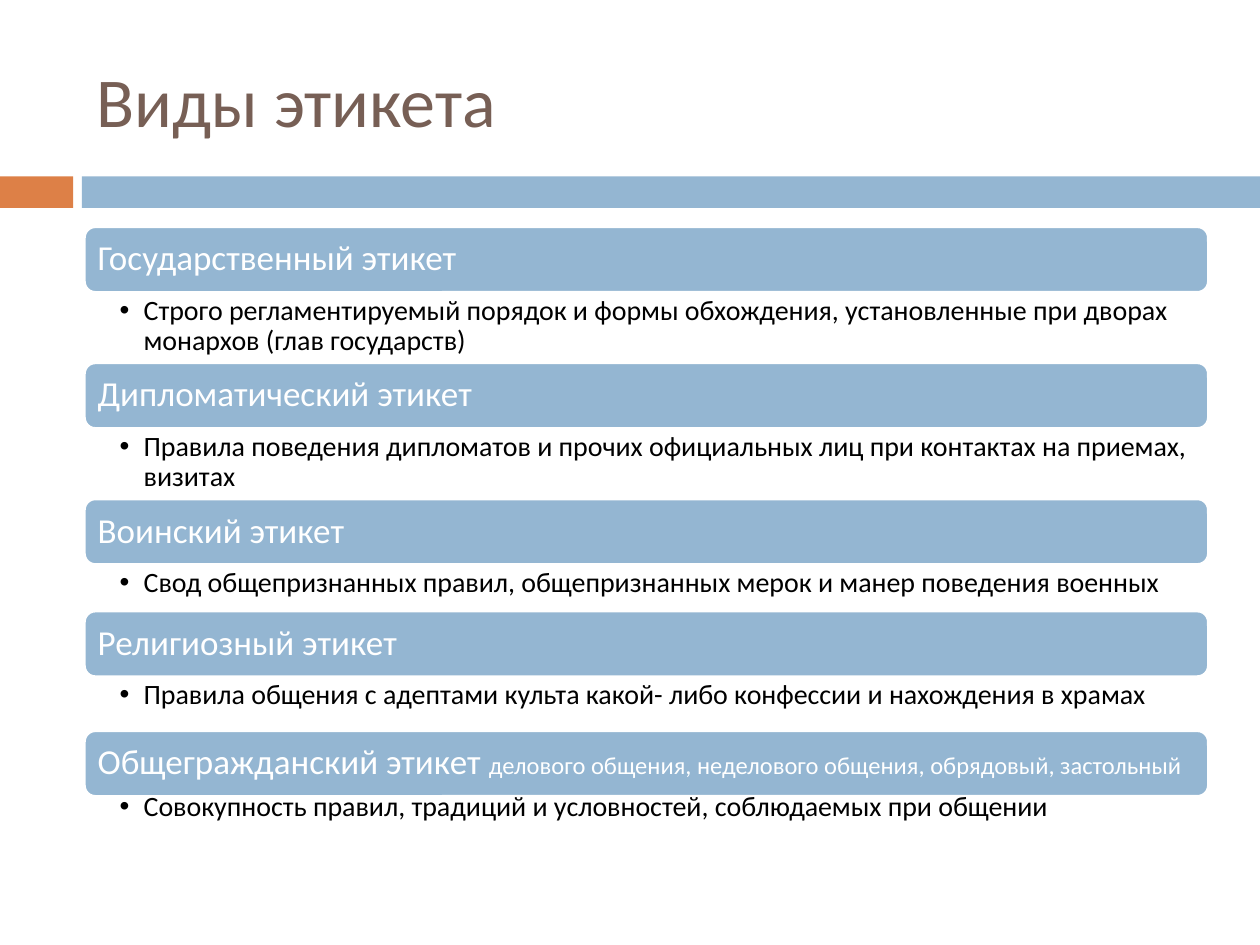
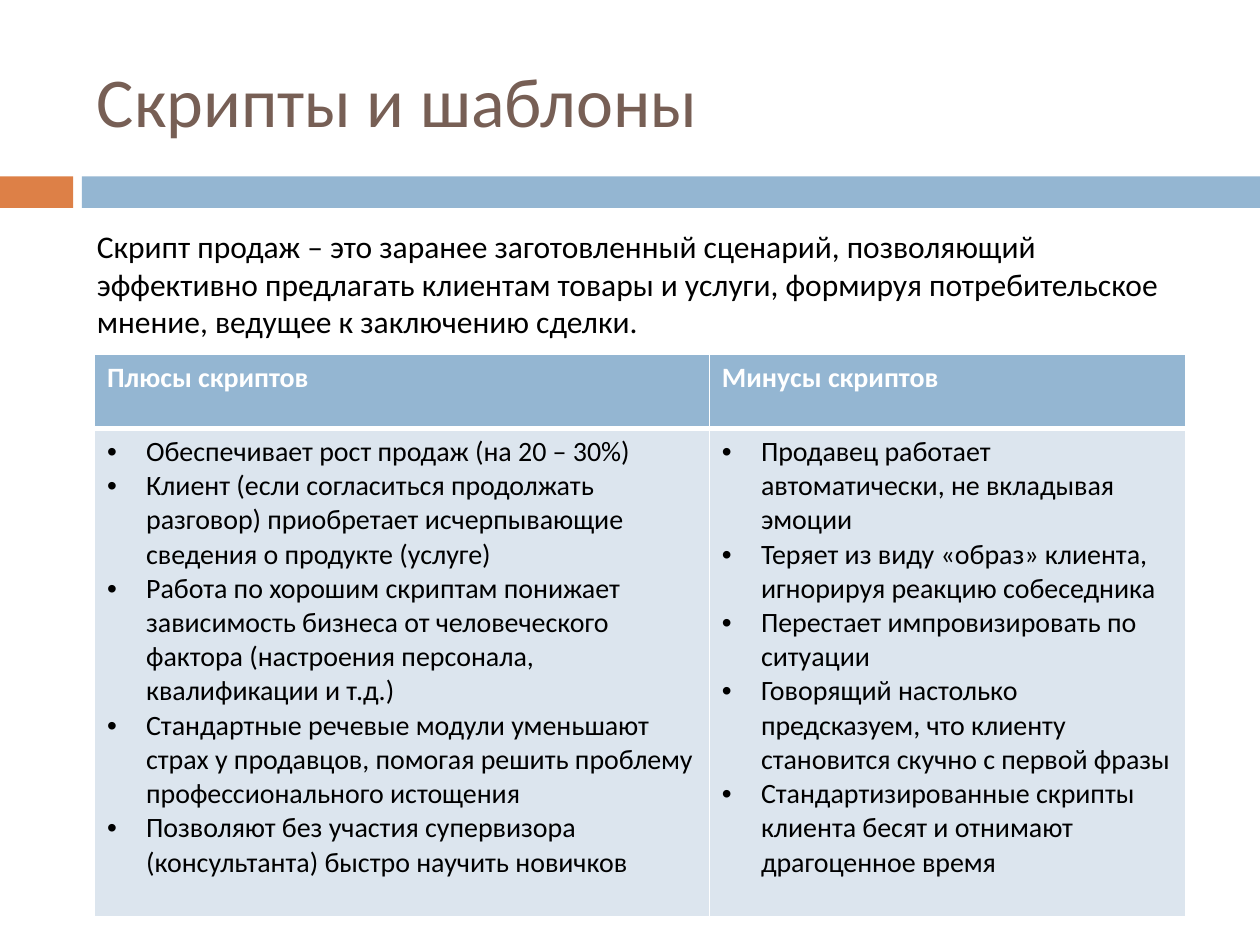
import pptx
import pptx.util
import pptx.dml.color
import pptx.enum.shapes
import pptx.enum.text
import pptx.oxml.ns
from lxml import etree

Inches = pptx.util.Inches
Pt = pptx.util.Pt
Kind = pptx.enum.shapes.MSO_SHAPE
Anchor = pptx.enum.text.MSO_ANCHOR
qn = pptx.oxml.ns.qn

# Shared style
FONT = "Calibri"
BLUE, ORANGE, BROWN = "94B6D2", "DD8047", "775F55"
PALE, WHITE, BLACK = "DCE5EE", "FFFFFF", "000000"
LEFT, WIDE = 0.67, 8.92
INSET = (0.1, 0.05, 0.1, 0.05)


def color(code):
    return pptx.dml.color.RGBColor.from_string(code)


def box(*sizes):
    return [Inches(size) for size in sizes]


class Deck:
    def __init__(self):
        self.file = pptx.Presentation()
        self.file.slide_width, self.file.slide_height = box(10, 7.5)
        self.slide = None

    def page(self, title):
        """Start a slide with its title and the two-part band."""
        self.slide = self.file.slides.add_slide(self.file.slide_layouts[6])
        self.shape(Kind.RECTANGLE, (0, 1.4, 0.58, 0.25), ORANGE)
        self.shape(Kind.RECTANGLE, (0.65, 1.4, 9.35, 0.25), BLUE)
        frame = self.text((LEFT, 0.25, WIDE, 1.08), anchor=Anchor.MIDDLE)
        self.words(frame.paragraphs[0], [(title, 40)], BROWN)

    def shape(self, kind, place, fill, edge=None):
        shape = self.slide.shapes.add_shape(kind, *box(*place))
        shape.shadow.inherit = False
        shape.fill.solid()
        shape.fill.fore_color.rgb = color(fill)
        if edge:
            shape.line.color.rgb = color(edge)
            shape.line.width = Pt(1.5)
        else:
            shape.line.fill.background()
        return shape

    def text(self, place, inset=INSET, anchor=Anchor.TOP):
        frame = self.slide.shapes.add_textbox(*box(*place)).text_frame
        self.setup(frame, inset, anchor)
        return frame

    def setup(self, frame, inset, anchor):
        frame.word_wrap = True
        frame.vertical_anchor = anchor
        (frame.margin_left, frame.margin_top,
         frame.margin_right, frame.margin_bottom) = box(*inset)

    def words(self, para, runs, ink, bold=False):
        para.alignment = pptx.enum.text.PP_ALIGN.LEFT
        for words, size in runs:
            run = para.add_run()
            run.text = words
            run.font.name = FONT
            run.font.size = Pt(size)
            run.font.bold = bold
            run.font.color.rgb = color(ink)

    def bullet(self, para, indent):
        props = para._p.get_or_add_pPr()
        props.set("marL", str(Inches(indent)))
        props.set("indent", str(-Inches(indent)))
        etree.SubElement(props, qn("a:buFont"), typeface="Arial")
        etree.SubElement(props, qn("a:buChar"), char="•")

    def bar(self, place, runs):
        shape = self.shape(Kind.ROUNDED_RECTANGLE, place, BLUE, WHITE)
        self.setup(shape.text_frame, [0.08] * 4, Anchor.MIDDLE)
        para = shape.text_frame.paragraphs[0]
        para.line_spacing = 0.9
        self.words(para, runs, WHITE)

    def detail(self, place, words):
        para = self.text(place, (0.28, 0.03, 0.16, 0.03)).paragraphs[0]
        para.line_spacing = 0.9
        self.bullet(para, 0.19)
        self.words(para, [(words, 16)], BLACK)

    def border(self, cell, widths):
        """Draw white edges, widths given as left, right, top, bottom."""
        props = cell._tc.get_or_add_tcPr()
        for spot, (side, width) in enumerate(zip("LRTB", widths)):
            line = etree.Element(qn("a:ln" + side), w=str(Pt(width)))
            fill = etree.SubElement(line, qn("a:solidFill"))
            etree.SubElement(fill, qn("a:srgbClr"), val=WHITE)
            props.insert(spot, line)

    def cell(self, cell, fill, widths):
        cell.fill.solid()
        cell.fill.fore_color.rgb = color(fill)
        self.border(cell, widths)
        return cell.text_frame

    def table(self, place, wides, highs, lists):
        """Build one column per heading, its points in the cell below."""
        table = self.slide.shapes.add_table(2, len(lists), *box(*place)).table
        for row, high in zip(table.rows, highs):
            row.height = Inches(high)
        for col, (head, points) in enumerate(lists.items()):
            table.columns[col].width = Inches(wides[col])
            frame = self.cell(table.cell(0, col), BLUE, (1, 1, 1, 3))
            self.words(frame.paragraphs[0], [(head, 16)], WHITE, True)
            frame = self.cell(table.cell(1, col), PALE, (1, 1, 3, 1))
            for num, point in enumerate(points):
                para = frame.add_paragraph() if num else frame.paragraphs[0]
                self.bullet(para, 0.31)
                self.words(para, [(point, 16)], BLACK)


# Kinds of etiquette: heading runs, detail, detail height, bar shift
KINDS = [
    ([("Государственный этикет", 20)],
     "Строго регламентируемый порядок и формы обхождения, установленные "
     "при дворах монархов (глав государств)", 0.56, 0),
    ([("Дипломатический этикет", 20)],
     "Правила поведения дипломатов и прочих официальных лиц при контактах "
     "на приемах, визитах", 0.56, 0),
    ([("Воинский этикет", 20)],
     "Свод общепризнанных правил, общепризнанных мерок и манер поведения "
     "военных", 0.37, 0),
    ([("Религиозный этикет", 20)],
     "Правила общения с адептами культа какой- либо конфессии и нахождения "
     "в храмах", 0.37, 0),
    ([("Общегражданский этикет ", 20),
      ("делового общения, неделового общения, обрядовый, застольный", 14)],
     "Совокупность правил, традиций и условностей, соблюдаемых при общении",
     0.37, 0.06),
]

SCRIPTS = {
    "Плюсы скриптов": [
        "Обеспечивает рост продаж (на 20 – 30%)",
        "Клиент (если согласиться продолжать разговор) приобретает "
        "исчерпывающие сведения о продукте (услуге)",
        "Работа по хорошим скриптам понижает зависимость бизнеса от "
        "человеческого фактора (настроения персонала, квалификации и т.д.)",
        "Стандартные речевые модули уменьшают страх у продавцов, помогая "
        "решить проблему профессионального истощения",
        "Позволяют без участия супервизора (консультанта) быстро научить "
        "новичков",
    ],
    "Минусы скриптов": [
        "Продавец работает автоматически, не вкладывая эмоции",
        "Теряет из виду «образ» клиента, игнорируя реакцию собеседника",
        "Перестает импровизировать по ситуации",
        "Говорящий настолько предсказуем, что клиенту становится скучно "
        "с первой фразы",
        "Стандартизированные скрипты клиента бесят и отнимают драгоценное "
        "время",
    ],
}


def main():
    deck = Deck()

    # Slide 1: bars stacked with their details
    deck.page("Виды этикета")
    top, thick = 1.8, 0.52
    for runs, words, high, shift in KINDS:
        deck.bar((LEFT, top + shift, WIDE, thick), runs)
        deck.detail((LEFT, top + thick, WIDE, high), words)
        top += thick + high

    # Slide 2: definition above the pros and cons
    deck.page("Скрипты и шаблоны")
    para = deck.text((LEFT, 1.75, WIDE, 1.21)).paragraphs[0]
    para.space_before = Pt(7)
    deck.words(para, [(
        "Скрипт продаж – это заранее заготовленный сценарий, позволяющий "
        "эффективно предлагать клиентам товары и услуги, формируя "
        "потребительское мнение, ведущее к заключению сделки.", 18)], BLACK)
    deck.table((0.75, 2.81, 8.66, 4.47), (4.88, 3.78), (0.59, 3.88), SCRIPTS)

    deck.file.save("out.pptx")


if __name__ == "__main__":
    main()
